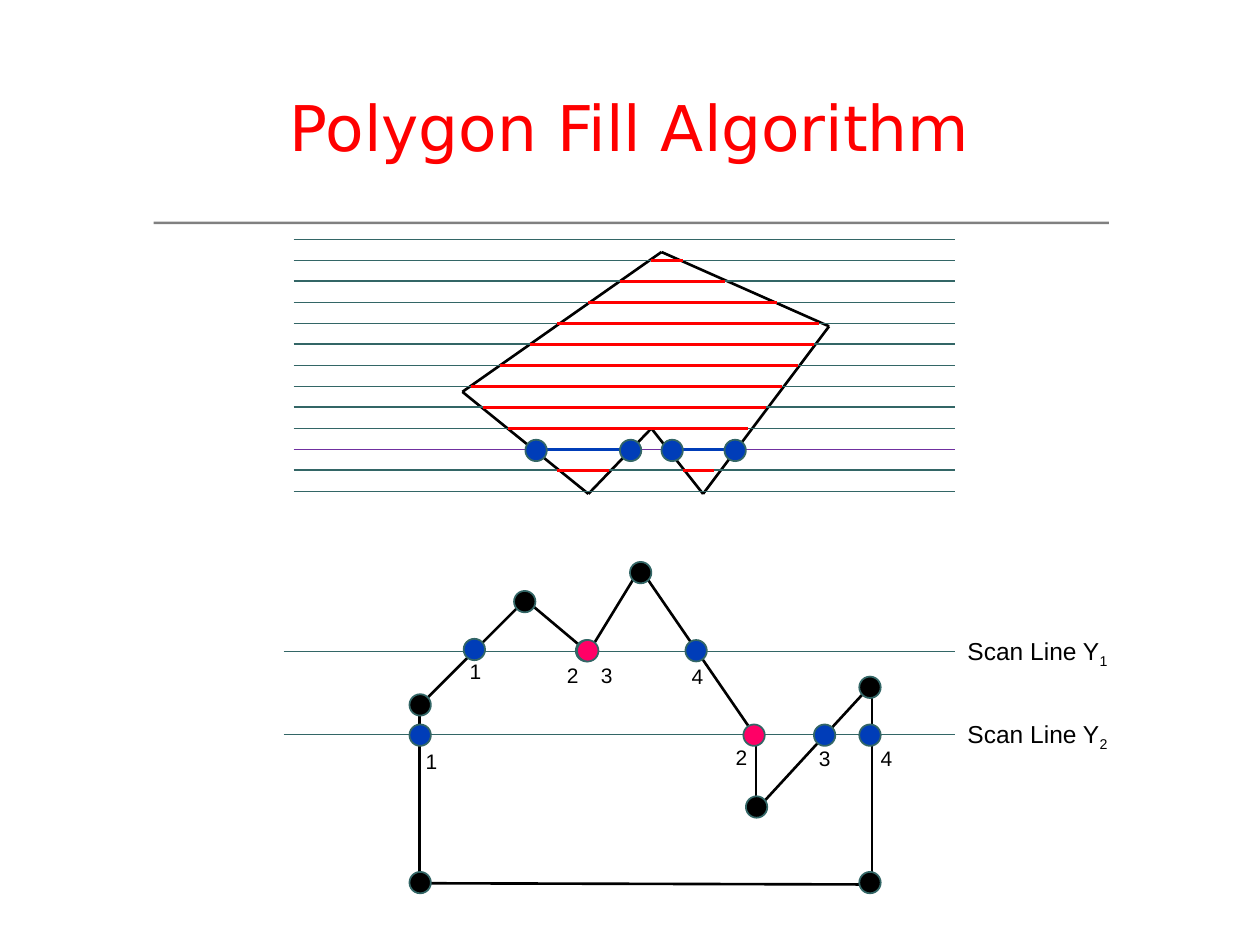
from itertools import pairwise

from lxml import etree
from pptx import Presentation
from pptx.dml.color import RGBColor
from pptx.enum import shapes, text
from pptx.oxml.ns import qn
from pptx.util import Inches, Pt

rgb = RGBColor.from_string
BLACK, TEAL, RED, BLUE = "000000", "336666", "FF0000", "003DB8"
PINK, PURPLE, GREY = "FF0066", "7030A0", "808080"
DOT = 0.17

prs = Presentation()
prs.slide_width, prs.slide_height = Inches(10), Inches(7.5)
s = prs.slides.add_slide(prs.slide_layouts[5])


def add_line(start, end, color, width):
    c = s.shapes.add_connector(shapes.MSO_CONNECTOR.STRAIGHT,
                               *map(Inches, (*start, *end)))
    c.line.color.rgb = rgb(color)
    c.line.width = Pt(width)
    etree.SubElement(c._element.spPr, qn("a:effectLst"))


def add_dot(left, top, color):
    sp = s.shapes.add_shape(shapes.MSO_SHAPE.OVAL,
                            *map(Inches, (left, top, DOT, DOT)))
    sp.shadow.inherit = False
    sp.fill.solid()
    sp.fill.fore_color.rgb = rgb(color)
    sp.line.color.rgb = rgb(TEAL)
    sp.line.width = Pt(1)


rule = s.shapes.add_shape(shapes.MSO_SHAPE.RECTANGLE,
                          *map(Inches, (1.22, 1.76, 7.58, 0.02)))
rule.shadow.inherit = False
rule.fill.solid()
rule.fill.fore_color.rgb = rgb(GREY)
rule.line.fill.background()

title = s.shapes.title
title.left, title.top, title.width, title.height = map(Inches, (0, 0.5, 10, 1))
tf = title.text_frame
tf.text = "Polygon Fill Algorithm"
tf.vertical_anchor = text.MSO_ANCHOR.MIDDLE
p = tf.paragraphs[0]
p.alignment = text.PP_ALIGN.CENTER
p.font.size = Pt(36)
p.font.name = "DejaVu Sans"
p.font.color.rgb = rgb(RED)

polygon = [(5.25, 2), (3.67, 3.11), (4.67, 3.92), (5.17, 3.4),
           (5.58, 3.92), (6.58, 2.59), (5.25, 2)]
for start, end in pairwise(polygon):
    add_line(start, end, BLACK, 1.5)

active_spans = [(4.25, 5), (5.33, 5.83)]
fill_spans = [
    [], [(5.17, 5.42)], [(4.92, 5.75)], [(4.67, 6.17)], [(4.42, 6.5)],
    [(4.21, 6.46)], [(3.97, 6.33)], [(3.74, 6.21)], [(3.83, 6.08)],
    [(4.03, 5.94)], active_spans, [(4.42, 4.83), (5.42, 5.67)], [],
]
for i, spans in enumerate(fill_spans):
    y = 1.9 + i / 6
    active = spans is active_spans
    add_line((2.33, y), (7.58, y), PURPLE if active else TEAL, 1)
    for x1, x2 in spans:
        add_line((x1, y), (x2, y), BLUE if active else RED, 1.5)
for left in (4.17, 4.92, 5.25, 5.75):
    add_dot(left, 3.49, BLUE)

outline = [(3.33, 7.01), (3.33, 5.6), (4.17, 4.76), (4.67, 5.18), (5.08, 4.51),
           (6, 5.85), (6, 6.43), (6.92, 5.43), (6.92, 7.02), (3.33, 7.01)]
for start, end in pairwise(outline):
    add_line(start, end, BLACK, 1.5)
for left, top in [(3.25, 5.51), (4.08, 4.69), (4.57, 5.08), (5, 4.46),
                  (5.92, 6.32), (6.82, 5.37), (6.82, 6.92), (3.25, 6.92)]:
    add_dot(left, top, BLACK)

scan_lines = [
    (5.17, [(3.68, 5.07, BLUE), (4.58, 5.08, PINK), (5.44, 5.08, BLUE)]),
    (5.83, [(5.9, 5.75, PINK), (6.46, 5.75, BLUE), (6.82, 5.75, BLUE),
            (3.25, 5.75, BLUE)]),
]
for y, crossings in scan_lines:
    add_line((2.25, y), (7.58, y), TEAL, 1)
    for left, top, color in crossings:
        add_dot(left, top, color)

labels = [
    (7.58, 5, 1.75, 0.37, 14, "Scan Line Y", "1"),
    (7.58, 5.66, 1.75, 0.37, 14, "Scan Line Y", "2"),
]
numbers = [(3.63, 5.18, "1"), (4.4, 5.21, "2"), (4.67, 5.21, "3"), (5.39, 5.22, "4"),
           (3.28, 5.89, "1"), (5.74, 5.86, "2"), (6.4, 5.87, "3"), (6.89, 5.87, "4")]
labels += [(left, top, 0.33, 0.3, 12, number, "") for left, top, number in numbers]
for left, top, width, height, size, label, subscript in labels:
    tf = s.shapes.add_textbox(*map(Inches, (left, top, width, height))).text_frame
    tf.word_wrap = True
    p = tf.paragraphs[0]
    p.font.size = Pt(size)
    p.font.name = "Arial"
    p.font.color.rgb = rgb(BLACK)
    p.add_run().text = label
    if subscript:
        r = p.add_run()
        r.text = subscript
        r.font._element.set("baseline", "-25000")

prs.save("out.pptx")
